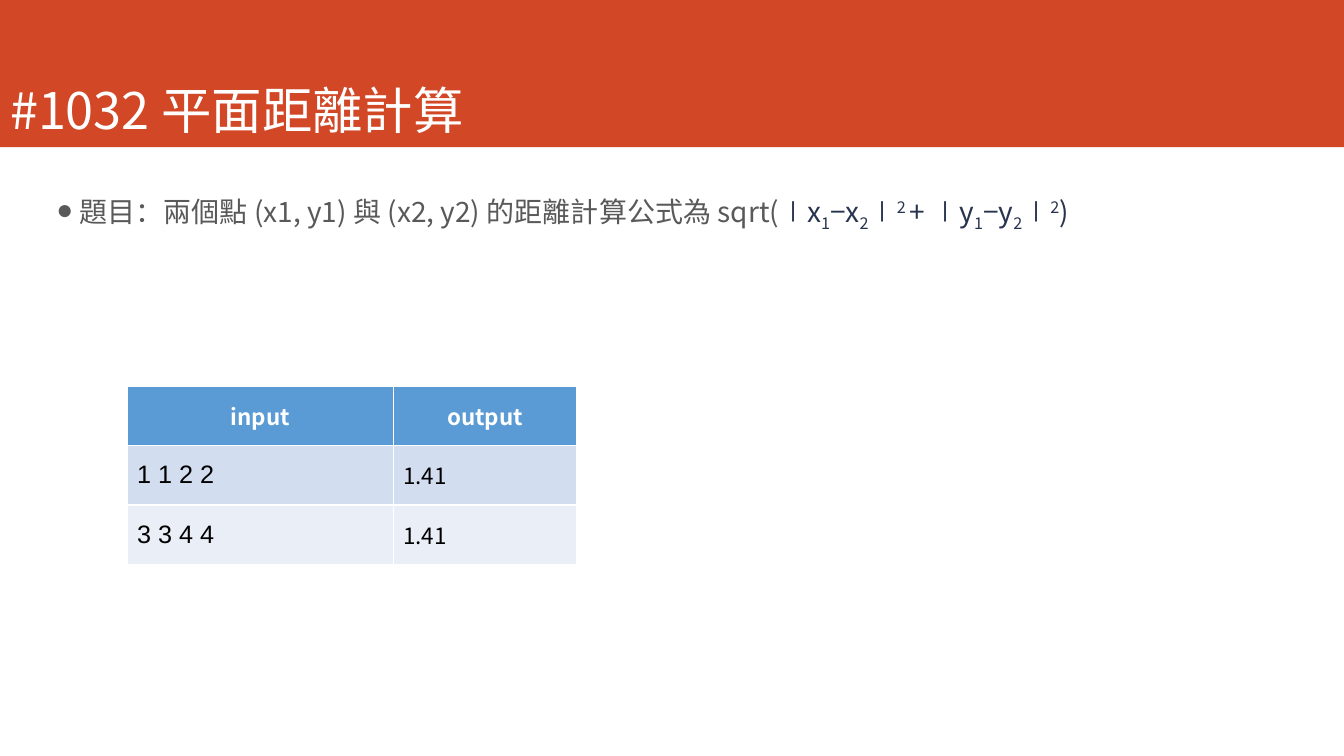
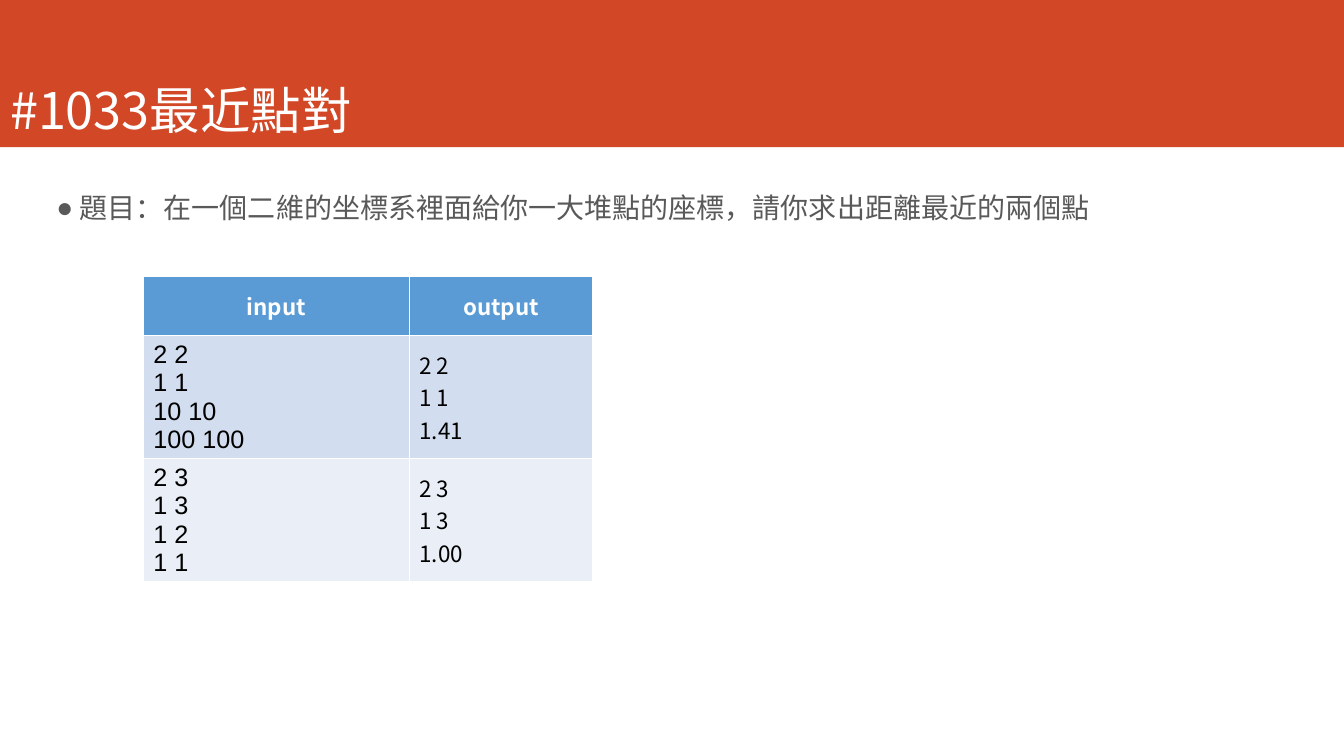
from lxml import etree
from pptx import Presentation
from pptx.dml.color import RGBColor
from pptx.enum.shapes import MSO_SHAPE
from pptx.enum.text import MSO_ANCHOR, MSO_AUTO_SIZE, PP_ALIGN
from pptx.oxml.ns import qn
from pptx.util import Inches, Pt

RECTANGLE = MSO_SHAPE.RECTANGLE
BOTTOM, MIDDLE, TOP = MSO_ANCHOR.BOTTOM, MSO_ANCHOR.MIDDLE, MSO_ANCHOR.TOP
LEFT, CENTER = PP_ALIGN.LEFT, PP_ALIGN.CENTER
NO_AUTOFIT = MSO_AUTO_SIZE.NONE

BAND_RED = RGBColor(0xD2, 0x47, 0x26)
WHITE = RGBColor(0xFF, 0xFF, 0xFF)
BLACK = RGBColor(0x00, 0x00, 0x00)
BODY_GRAY = RGBColor(0x59, 0x59, 0x59)
FORMULA_NAVY = RGBColor(0x28, 0x34, 0x4F)
HEADER_BLUE = RGBColor(0x5B, 0x9B, 0xD5)
ROW_FILLS = (RGBColor(0xD2, 0xDE, 0xEF), RGBColor(0xEA, 0xEF, 0xF7))

CJK_FONT = "Noto Sans CJK TC"
INPUT_FONT = "Arial"
SLIDE_WIDTH = Inches(13.33)
COLUMN_WIDTHS = (Inches(2.64), Inches(1.82))
HEADER_HEIGHT = Inches(0.59)
SUB, SUPER = -25, 30


def write(paragraph, text, size=20, color=BODY_GRAY, font=CJK_FONT,
          bold=False, baseline=0):
    """Add a run; baseline is a percentage, negative for subscripts."""
    run = paragraph.add_run()
    run.text = text
    run.font.size = Pt(size)
    run.font.bold = bold
    run.font.color.rgb = color
    run.font.name = font
    properties = run._r.get_or_add_rPr()
    etree.SubElement(properties, qn("a:ea"), typeface=font)
    if baseline:
        properties.set("baseline", str(baseline * 1000))


def place(shape, left, top, width, height):
    shape.left, shape.top = Inches(left), Inches(top)
    shape.width, shape.height = Inches(width), Inches(height)


def style_layout(layout):
    """Set the places and frames that all slides inherit."""
    title, body = layout.placeholders[0], layout.placeholders[1]
    place(title, 0, 0.12, 11.76, 1.32)
    place(body, 0.48, 1.85, 12.71, 0.49)
    for placeholder, anchor in ((title, BOTTOM), (body, TOP)):
        frame = placeholder.text_frame
        frame.vertical_anchor = anchor
        frame.auto_size = NO_AUTOFIT
        frame.word_wrap = True
    frame = body.text_frame
    frame.margin_left = frame.margin_top = Inches(0.08)
    frame.margin_right = frame.margin_bottom = 0


def add_layout_band(layout, slide):
    """Draw the title band on a slide, then move it behind the layout."""
    band = slide.shapes.add_shape(RECTANGLE, 0, 0, SLIDE_WIDTH, Inches(1.46))
    band.shadow.inherit = False
    band.fill.solid()
    band.fill.fore_color.rgb = BAND_RED
    band.line.fill.background()
    layout.shapes.element.insert(2, band.element)


def set_title(slide, text):
    paragraph = slide.shapes.title.text_frame.paragraphs[0]
    paragraph.alignment = LEFT
    paragraph.line_spacing = 0.9
    write(paragraph, text, size=36, color=WHITE)


def set_problem(slide, statement, formula=()):
    """Write the bulleted statement, then formula parts as (text, baseline)."""
    paragraph = slide.placeholders[1].text_frame.paragraphs[0]
    paragraph.line_spacing = 0.9
    paragraph.space_before = Pt(6)
    properties = paragraph._p.get_or_add_pPr()
    properties.set("marL", str(Inches(0.01)))
    properties.set("indent", str(-Inches(0.01)))
    etree.SubElement(properties, qn("a:buFont"), typeface=INPUT_FONT)
    etree.SubElement(properties, qn("a:buChar"), char="●")
    write(paragraph, statement)
    for text, baseline in formula:
        write(paragraph, text, color=FORMULA_NAVY, baseline=baseline)


def fill_cell(cell, lines, fill, alignment=LEFT, **text_format):
    cell.fill.solid()
    cell.fill.fore_color.rgb = fill
    cell.vertical_anchor = MIDDLE
    frame = cell.text_frame
    for index, line in enumerate(lines):
        paragraph = frame.add_paragraph() if index else frame.paragraphs[0]
        paragraph.alignment = alignment
        write(paragraph, line, **text_format)


def add_samples(slide, left, top, row_height, samples):
    """Add the table of samples, each a pair of input and output lines."""
    height = HEADER_HEIGHT + row_height * len(samples)
    table = slide.shapes.add_table(len(samples) + 1, 2, left, top,
                                   sum(COLUMN_WIDTHS), height).table
    for column, width in zip(table.columns, COLUMN_WIDTHS):
        column.width = width
    for row in table.rows:
        row.height = row_height
    table.rows[0].height = HEADER_HEIGHT
    for column, heading in enumerate(("input", "output")):
        fill_cell(table.cell(0, column), [heading], HEADER_BLUE, CENTER,
                  size=16, color=WHITE, bold=True)
    for row, (given, expected) in enumerate(samples, start=1):
        fill = ROW_FILLS[(row - 1) % 2]
        fill_cell(table.cell(row, 0), given, fill,
                  size=18, color=BLACK, font=INPUT_FONT)
        fill_cell(table.cell(row, 1), expected, fill, size=16, color=BLACK)


def main():
    deck = Presentation()
    deck.slide_width, deck.slide_height = SLIDE_WIDTH, Inches(7.5)
    layout = deck.slide_layouts[1]
    style_layout(layout)

    distance = deck.slides.add_slide(layout)
    add_layout_band(layout, distance)
    set_title(distance, "#1032 平面距離計算")
    set_problem(
        distance,
        " 題目：兩個點 (x1, y1) 與 (x2, y2) 的距離計算公式為 sqrt(",
        [("∣x", 0), ("1", SUB), ("−x", 0), ("2", SUB), ("∣", 0),
         ("2 ", SUPER), ("+ ∣y", 0), ("1", SUB), ("−y", 0), ("2", SUB),
         ("∣", 0), ("2", SUPER), (")", 0)])
    add_samples(distance, Inches(1.26), Inches(3.83), Inches(0.59), [
        (["1 1 2 2"], ["1.41"]),
        (["3 3 4 4"], ["1.41"]),
    ])

    closest = deck.slides.add_slide(layout)
    set_title(closest, "#1033最近點對")
    set_problem(closest, " 題目：在一個二維的坐標系裡面給你一大堆點的座標，"
                         "請你求出距離最近的兩個點")
    add_samples(closest, Inches(1.42), Inches(2.74), Inches(1.22), [
        (["2 2", "1 1", "10 10", "100 100"], ["2 2", "1 1", "1.41"]),
        (["2 3", "1 3", "1 2", "1 1"], ["2 3", "1 3", "1.00"]),
    ])

    deck.save("out.pptx")


if __name__ == "__main__":
    main()
